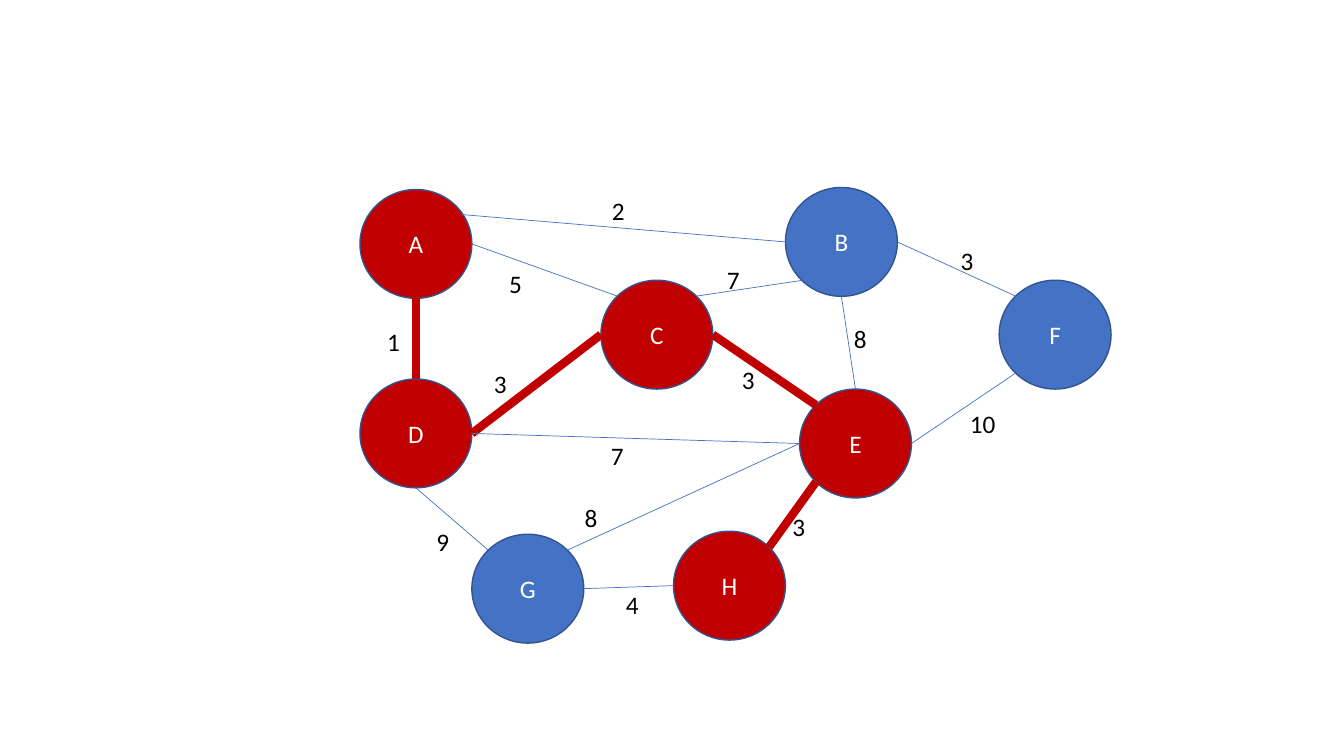
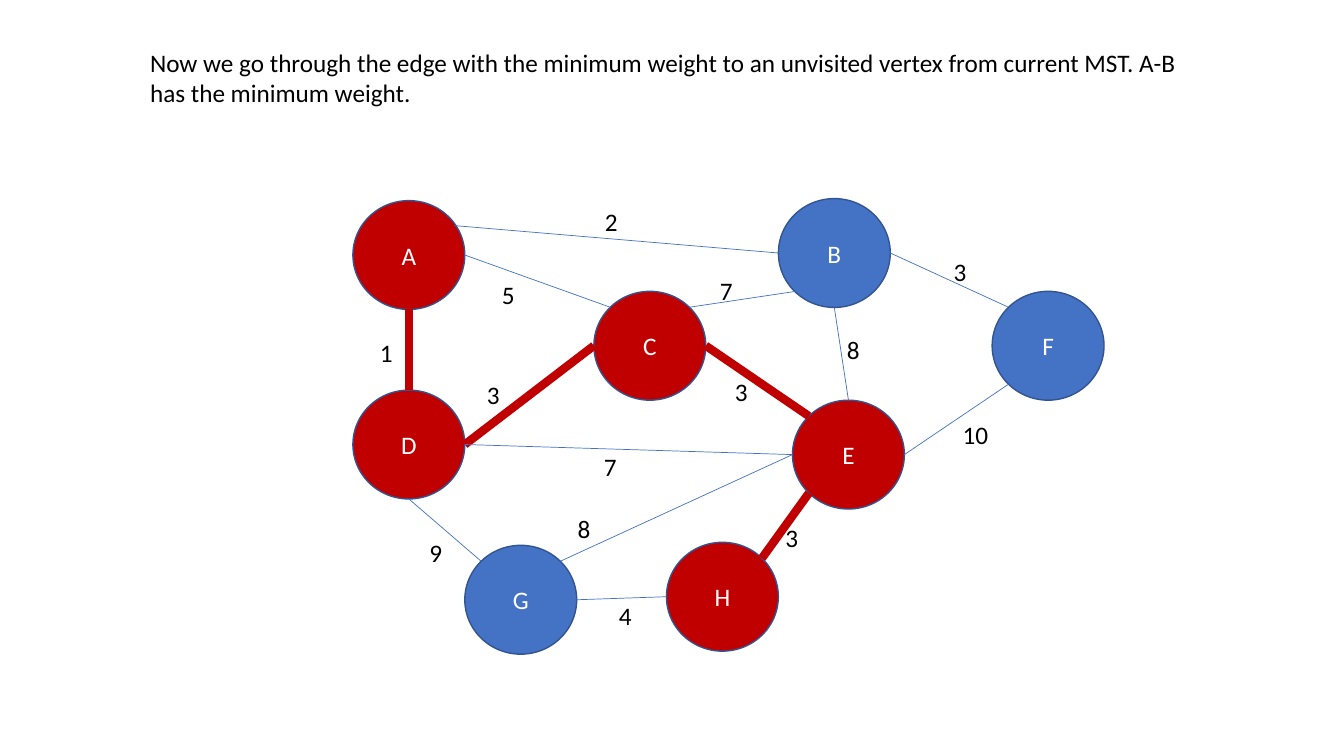
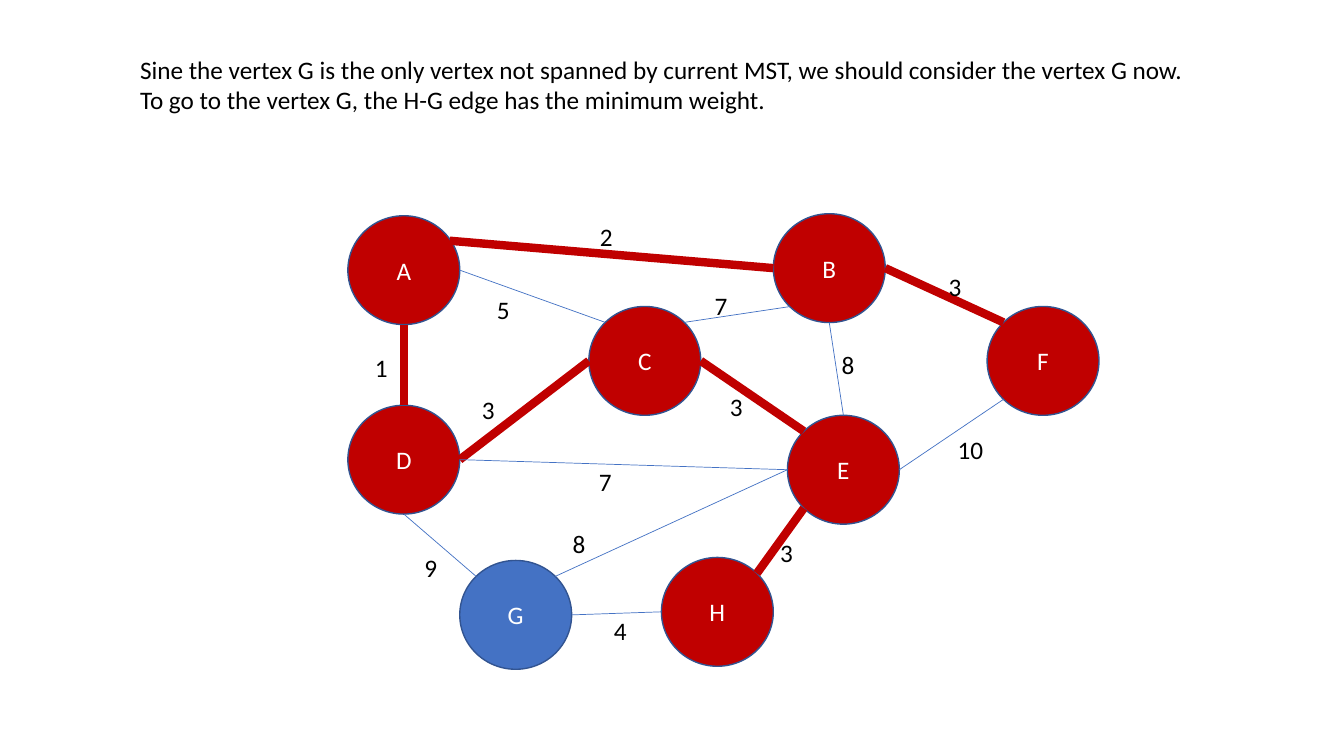
from dataclasses import dataclass
from math import sqrt
from typing import NamedTuple

from lxml import etree
from pptx import Presentation
from pptx.dml.color import RGBColor
from pptx.enum.shapes import MSO_CONNECTOR, MSO_SHAPE
from pptx.enum.text import MSO_ANCHOR, MSO_AUTO_SIZE, PP_ALIGN
from pptx.oxml.ns import qn
from pptx.util import Inches, Pt

OVAL = MSO_SHAPE.OVAL
STRAIGHT = MSO_CONNECTOR.STRAIGHT
MIDDLE = MSO_ANCHOR.MIDDLE
CENTER = PP_ALIGN.CENTER
LEFT_ALIGN = PP_ALIGN.LEFT
GROW = MSO_AUTO_SIZE.SHAPE_TO_FIT_TEXT
BLANK_LAYOUT = 6


@dataclass(frozen=True)
class Theme:
    font: str = "Calibri"
    size: int = 18
    text: RGBColor = RGBColor(0x00, 0x00, 0x00)
    node_text: RGBColor = RGBColor(0xFF, 0xFF, 0xFF)
    plain: RGBColor = RGBColor(0x44, 0x72, 0xC4)
    tree: RGBColor = RGBColor(0xC0, 0x00, 0x00)
    outline: RGBColor = RGBColor(0x32, 0x54, 0x91)
    outline_width: float = 1
    plain_width: float = 0.5
    tree_width: float = 6


THEME = Theme()
NODE_W, NODE_H = 1.11, 1.08
LABEL_H = 0.4
CAPTION_H = 0.71
LABEL_WIDTHS = {1: 0.39, 2: 0.62}  # by number of digits


class Point(NamedTuple):
    x: float
    y: float


class Site(NamedTuple):
    """A place on a node's rim, in radii from its centre; index is the glue point."""
    dx: float
    dy: float
    index: int | None


class Edge(NamedTuple):
    start: str
    start_site: Site
    end: str
    end_site: Site
    weight: int
    label: Point

    @property
    def name(self) -> str:
        return self.start + self.end


class Step(NamedTuple):
    """One slide: how far the graph is shifted, its tree edges and its caption."""
    shift: Point
    tree: frozenset[str]
    caption: str = ""
    caption_at: Point = Point(0, 0)
    caption_width: float = 0


DIAG = sqrt(0.5)
TOP = Site(0, -1, 0)
TOP_LEFT = Site(-DIAG, -DIAG, 1)
LEFT = Site(-1, 0, 2)
BOTTOM_LEFT = Site(-DIAG, DIAG, 3)
BOTTOM = Site(0, 1, 4)
RIGHT = Site(1, 0, 6)
TOP_RIGHT = Site(DIAG, -DIAG, 7)
UPPER_RIGHT = Site(0.82, -0.54, None)

NODES = {
    "A": Point(3.57, 1.88),
    "D": Point(3.57, 3.76),
    "G": Point(4.68, 5.3),
    "C": Point(5.96, 2.78),
    "B": Point(7.79, 1.86),
    "E": Point(7.93, 3.86),
    "H": Point(6.68, 5.27),
    "F": Point(9.91, 2.78),
}

EDGES = [
    Edge("A", RIGHT, "C", TOP_LEFT, 5, Point(4.95, 2.61)),
    Edge("A", UPPER_RIGHT, "B", LEFT, 2, Point(5.97, 1.89)),
    Edge("A", BOTTOM, "D", TOP, 1, Point(3.74, 3.19)),
    Edge("D", BOTTOM, "G", TOP_LEFT, 9, Point(4.23, 5.17)),
    Edge("G", RIGHT, "H", LEFT, 4, Point(6.11, 5.8)),
    Edge("H", TOP_RIGHT, "E", BOTTOM_LEFT, 3, Point(7.76, 5.02)),
    Edge("E", RIGHT, "F", BOTTOM_LEFT, 10, Point(9.52, 4)),
    Edge("B", RIGHT, "F", TOP_LEFT, 3, Point(9.43, 2.38)),
    Edge("B", BOTTOM, "E", TOP, 8, Point(8.37, 3.16)),
    Edge("D", RIGHT, "C", LEFT, 3, Point(4.8, 3.6)),
    Edge("C", TOP_RIGHT, "B", BOTTOM_LEFT, 7, Point(7.11, 2.57)),
    Edge("D", RIGHT, "E", LEFT, 7, Point(5.96, 4.32)),
    Edge("C", RIGHT, "E", TOP_LEFT, 3, Point(7.26, 3.57)),
    Edge("G", TOP_RIGHT, "E", LEFT, 8, Point(5.7, 4.93)),
]

FIRST_TREE = frozenset({"AD", "DC", "CE", "HE"})
STEPS = [
    Step(Point(0, 0), FIRST_TREE),
    Step(
        Point(-0.07, 0.11), FIRST_TREE,
        "Now we go through the edge with the minimum weight to an unvisited vertex "
        "from current MST. A-B has the minimum weight.",
        Point(1.39, 0.42), 10.57,
    ),
    Step(
        Point(-0.12, 0.26), FIRST_TREE | {"AB", "BF"},
        "Sine the vertex G is the only vertex not spanned by current MST, we should "
        "consider the vertex G now. To go to the vertex G, the H-G edge has the "
        "minimum weight.",
        Point(1.29, 0.49), 10.78,
    ),
]


def moved(point: Point, shift: Point) -> Point:
    return Point(point.x + shift.x, point.y + shift.y)


def write(tf, text: str, color: RGBColor, align) -> None:
    tf.text = text
    p = tf.paragraphs[0]
    p.alignment = align
    font = p.runs[0].font
    font.name = THEME.font
    font.size = Pt(THEME.size)
    font.color.rgb = color


def add_text(slide, at: Point, width: float, height: float, text: str) -> None:
    sp = slide.shapes.add_textbox(Inches(at.x), Inches(at.y), Inches(width), Inches(height))
    tf = sp.text_frame
    tf.word_wrap = True
    tf.auto_size = GROW
    write(tf, text, THEME.text, LEFT_ALIGN)


def add_node(slide, name: str, at: Point, in_tree: bool):
    sp = slide.shapes.add_shape(
        OVAL, Inches(at.x), Inches(at.y), Inches(NODE_W), Inches(NODE_H))
    sp.shadow.inherit = False
    sp.fill.solid()
    sp.fill.fore_color.rgb = THEME.tree if in_tree else THEME.plain
    sp.line.color.rgb = THEME.outline
    sp.line.width = Pt(THEME.outline_width)
    sp.text_frame.vertical_anchor = MIDDLE
    write(sp.text_frame, name, THEME.node_text, CENTER)
    return sp


def site_position(node, site: Site) -> tuple[int, int]:
    return (round(node.left + node.width * (1 + site.dx) / 2),
            round(node.top + node.height * (1 + site.dy) / 2))


def add_edge(slide, edge: Edge, nodes: dict, in_tree: bool) -> None:
    """Draw the edge and glue its ends to the ovals' eight connection points."""
    ends = [("a:stCxn", nodes[edge.start], edge.start_site),
            ("a:endCxn", nodes[edge.end], edge.end_site)]
    (x1, y1), (x2, y2) = [site_position(node, site) for _, node, site in ends]
    line = slide.shapes.add_connector(STRAIGHT, x1, y1, x2, y2)
    line.line.color.rgb = THEME.tree if in_tree else THEME.plain
    line.line.width = Pt(THEME.tree_width if in_tree else THEME.plain_width)
    etree.SubElement(line.element.spPr, qn("a:effectLst"))
    links = line.element.find(".//" + qn("p:cNvCxnSpPr"))
    for tag, node, site in ends:
        if site.index is not None:
            etree.SubElement(links, qn(tag), id=str(node.shape_id), idx=str(site.index))


def add_step(prs, step: Step) -> None:
    slide = prs.slides.add_slide(prs.slide_layouts[BLANK_LAYOUT])
    visited = set("".join(step.tree))
    nodes = {name: add_node(slide, name, moved(at, step.shift), name in visited)
             for name, at in NODES.items()}
    for edge in EDGES:
        add_edge(slide, edge, nodes, edge.name in step.tree)
    for edge in EDGES:
        weight = str(edge.weight)
        add_text(slide, moved(edge.label, step.shift), LABEL_WIDTHS[len(weight)],
                 LABEL_H, weight)
    if step.caption:
        add_text(slide, step.caption_at, step.caption_width, CAPTION_H, step.caption)


def main() -> None:
    prs = Presentation()
    prs.slide_width, prs.slide_height = Inches(13.33), Inches(7.5)
    for step in STEPS:
        add_step(prs, step)
    prs.save("out.pptx")


if __name__ == "__main__":
    main()
